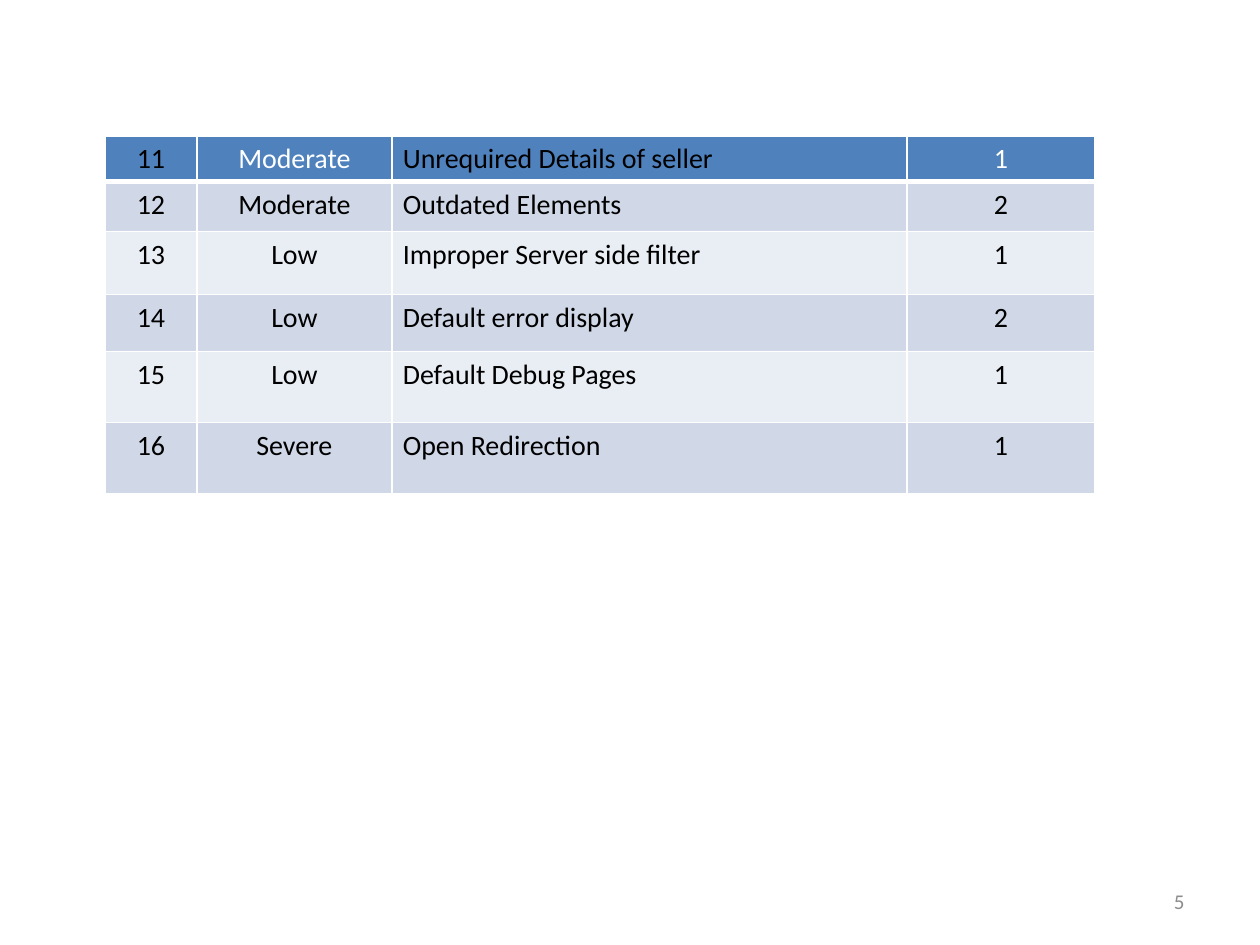
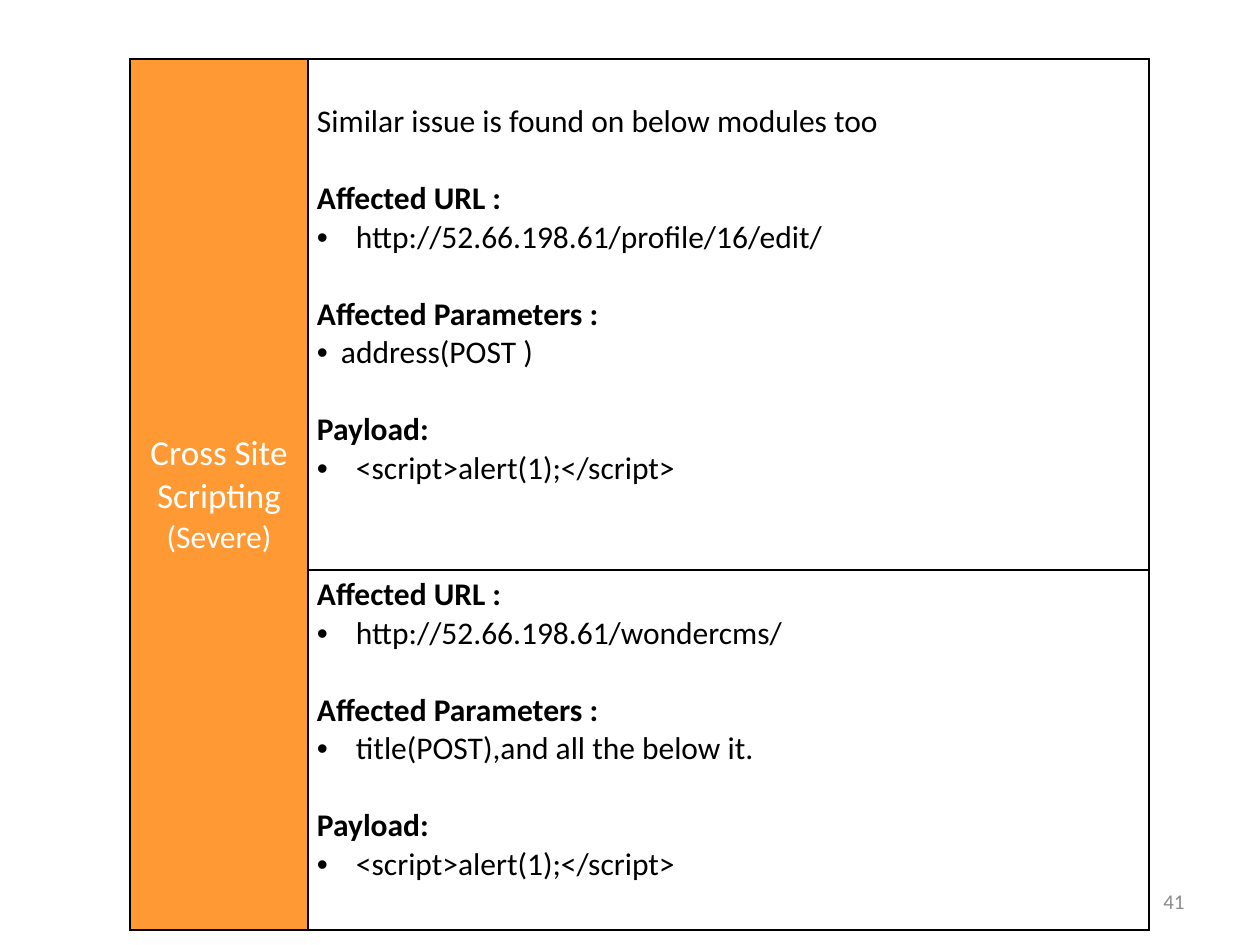
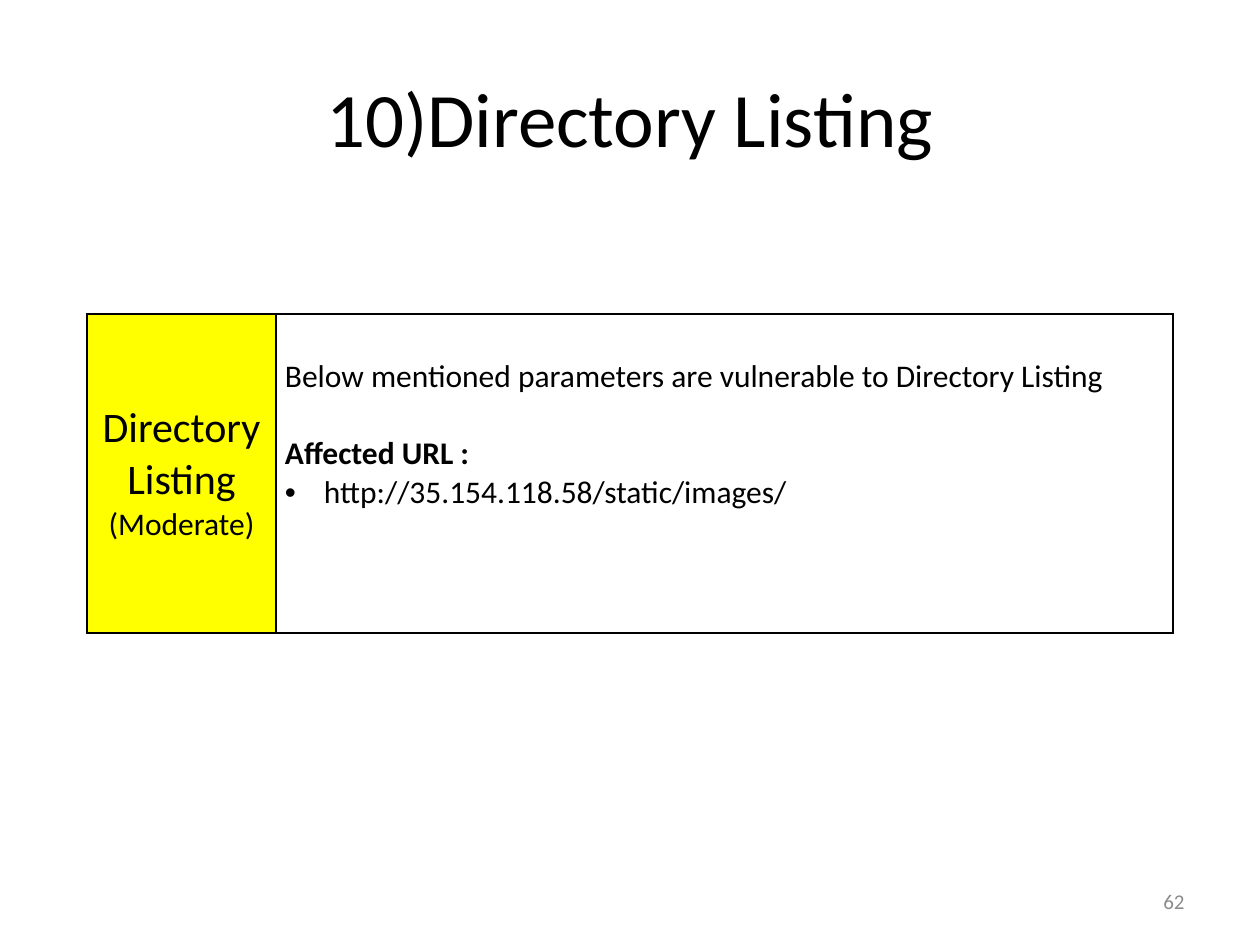
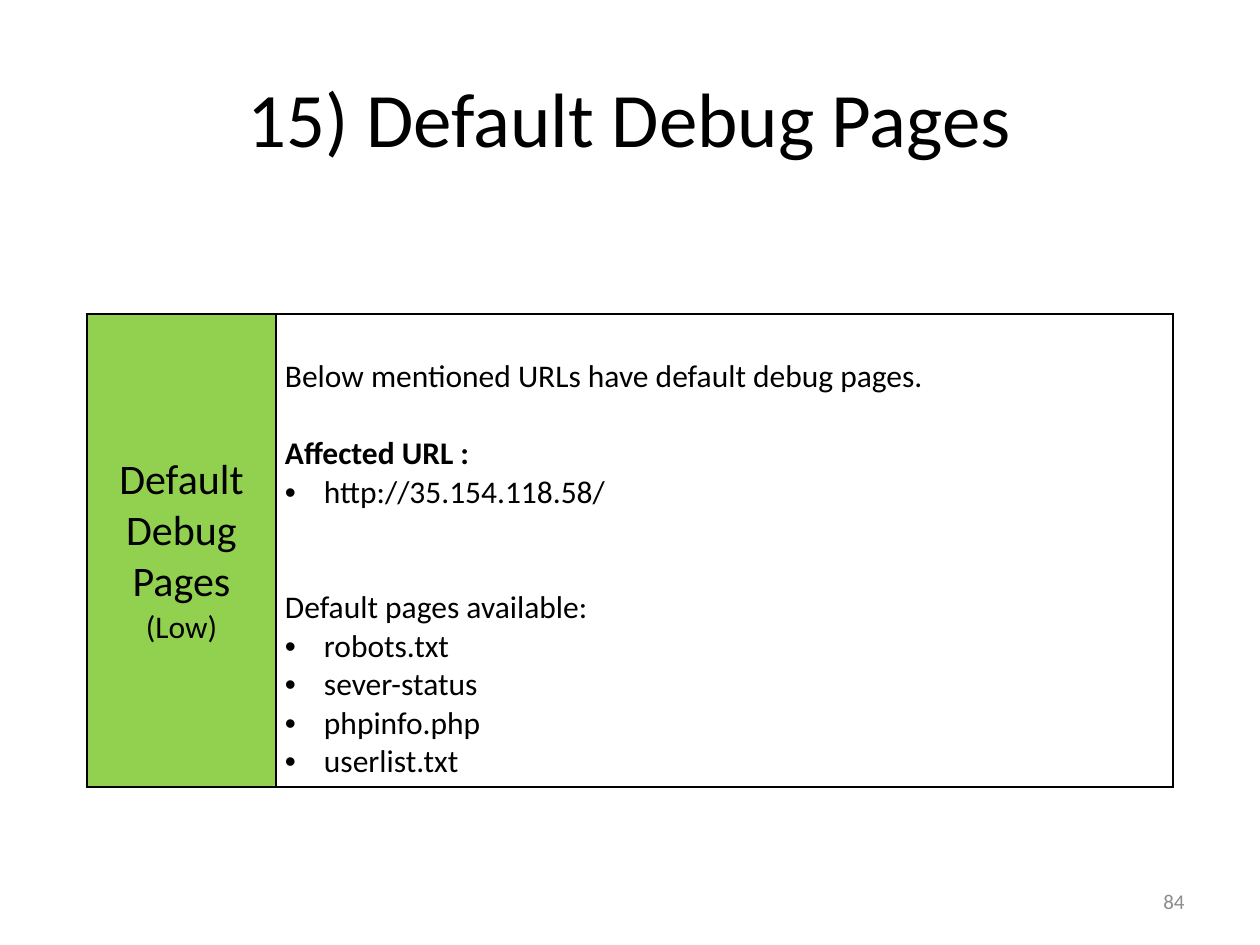
from pptx import Presentation
from pptx.dml.color import RGBColor
from pptx.enum.text import MSO_ANCHOR as Anchor, PP_ALIGN as Align
from pptx.oxml.ns import qn
from pptx.util import Emu, Pt
from lxml.etree import SubElement

FONT = "Calibri"
COLORS = {
    "black": "000000", "white": "FFFFFF", "number": "8C8C8C",
    "header": "4F81BD", "band dark": "D0D8E8", "band light": "E9EDF4",
    "severe": "FF9933", "moderate": "FFFF00", "low": "92D050",
}
NO_GRID_STYLE = "{2D5ABB26-0587-4C30-8999-92F81FD0307C}"
SLIDE_SIZE = (1260, 945)
TITLE_BOX = (63, 38, 1134, 157)
NUMBER_BOX = (903, 876, 294, 50)
BODY_SIZE = 18
LINE_POINTS = 22
LINE_PX = 38
INDENT = 39

SUMMARY = {
    "number": "5",
    "at": (105, 136),
    "columns": (92, 195, 515, 188),
    "rows": (45, 50, 63, 57, 71, 71),
    "header colors": ("black", "white", "black", "white"),
    "cells": [
        ("11", "Moderate", "Unrequired Details of seller", "1"),
        ("12", "Moderate", "Outdated Elements", "2"),
        ("13", "Low", "Improper Server side filter", "1"),
        ("14", "Low", "Default error display", "2"),
        ("15", "Low", "Default Debug Pages", "1"),
        ("16", "Severe", "Open Redirection", "1"),
    ],
}


def plain(text, lines_before=0):
    return {"text": text, "lines_before": lines_before}


def heading(text, lines_before=1):
    return {"text": text, "bold": True, "lines_before": lines_before}


def bullet(text, indent=INDENT):
    return {"text": text, "indent": indent}


# Each finding has a label cell and one block of paragraphs per row;
# "lead" is the number of empty lines above the first block.
FINDINGS = [
    {
        "number": "41", "title": None,
        "label": "Cross Site Scripting", "severity": "(Severe)",
        "fill": "severe", "label color": "white", "label size": 20,
        "at": (130, 5), "columns": (178, 841), "rows": (54, 511, 360),
        "blocks": [
            [plain("Similar issue is found on below modules too"),
             heading("Affected URL :"),
             bullet("http://52.66.198.61/profile/16/edit/"),
             heading("Affected Parameters :"),
             bullet("address(POST )", indent=24),
             heading("Payload:"),
             bullet("<script>alert(1);</script>")],
            [heading("Affected URL :", lines_before=0),
             bullet("http://52.66.198.61/wondercms/"),
             heading("Affected Parameters :"),
             bullet("title(POST),and all the below it."),
             heading("Payload:"),
             bullet("<script>alert(1);</script>")],
        ],
    },
    {
        "number": "62", "title": "10)Directory Listing",
        "label": "Directory Listing", "severity": "(Moderate)",
        "fill": "moderate", "label color": "black", "label size": 24,
        "at": (87, 252), "columns": (189, 897), "rows": (62, 319),
        "blocks": [
            [plain("Below mentioned parameters are vulnerable to Directory Listing"),
             heading("Affected URL :"),
             bullet("http://35.154.118.58/static/images/")],
        ],
    },
    {
        "number": "84", "title": "15) Default Debug Pages",
        "label": "Default Debug Pages", "severity": "(Low)",
        "fill": "low", "label color": "black", "label size": 24,
        "at": (87, 252), "columns": (189, 897), "rows": (62, 473),
        "blocks": [
            [plain("Below mentioned URLs have default debug pages."),
             heading("Affected URL :"),
             bullet("http://35.154.118.58/"),
             plain("Default pages available:", lines_before=2),
             bullet("robots.txt"),
             bullet("sever-status"),
             bullet("phpinfo.php"),
             bullet("userlist.txt")],
        ],
    },
]


def px(length):
    return Emu(round(length * 914400 / 126))


def rgb(name):
    return RGBColor.from_string(COLORS[name])


def write(para, text, size=BODY_SIZE, color="black", bold=False, align=None,
          indent=0, lines_before=0):
    """Add one formatted span; an indent makes the paragraph a bullet."""
    if indent:
        props = para._p.get_or_add_pPr()
        props.set("marL", str(px(indent)))
        props.set("indent", str(-px(indent)))
        SubElement(props, qn("a:buFont"), typeface="Arial")
        SubElement(props, qn("a:buChar"), char="•")
    if lines_before:
        para.space_before = Pt(LINE_POINTS * lines_before)
    if align is not None:
        para.alignment = align
    span = para.add_run()
    span.text = text
    font = span.font
    font.name, font.size, font.bold = FONT, Pt(size), bold
    font.color.rgb = rgb(color)


def write_block(frame, lines):
    for index, line in enumerate(lines):
        para = frame.add_paragraph() if index else frame.paragraphs[0]
        write(para, **line)


def add_page(deck, number, title=None):
    page = deck.slides.add_slide(deck.slide_layouts[5 if title else 6])
    if title:
        box = page.shapes.title
        box.left, box.top, box.width, box.height = map(px, TITLE_BOX)
        box.text_frame.vertical_anchor = Anchor.MIDDLE
        write(box.text_frame.paragraphs[0], title, size=44, align=Align.CENTER)
    frame = page.shapes.add_textbox(*map(px, NUMBER_BOX)).text_frame
    frame.word_wrap = True
    frame.vertical_anchor = Anchor.MIDDLE
    write(frame.paragraphs[0], number, size=12, color="number", align=Align.RIGHT)
    return page


def add_grid(page, at, columns, rows):
    """Add a table without any style of its own."""
    frame = page.shapes.add_table(len(rows), len(columns), *map(px, at),
                                  px(sum(columns)), px(sum(rows)))
    table = frame.table
    table.first_row = table.horz_banding = False
    table._tbl.tblPr.find(qn("a:tableStyleId")).text = NO_GRID_STYLE
    for column, width in zip(table.columns, columns):
        column.width = px(width)
    for row, height in zip(table.rows, rows):
        row.height = px(height)
    return table


def style_cell(cell, fill, border, side_margin, **edges):
    """Set borders (1 pt unless an edge L, R, T or B says otherwise), then fill."""
    props = cell._tc.get_or_add_tcPr()
    for edge in "LRTB":
        line = SubElement(props, qn("a:ln" + edge), w=str(Pt(edges.get(edge, 1))))
        paint = SubElement(line, qn("a:solidFill"))
        SubElement(paint, qn("a:srgbClr"), val=COLORS[border])
    cell.fill.solid()
    cell.fill.fore_color.rgb = rgb(fill)
    cell.margin_left = cell.margin_right = px(side_margin)
    cell.margin_top = cell.margin_bottom = px(6)


def build_summary(deck, summary):
    page = add_page(deck, summary["number"])
    table = add_grid(page, summary["at"], summary["columns"], summary["rows"])
    for row, texts in enumerate(summary["cells"]):
        is_header = row == 0
        fill = "header" if is_header else ("band light", "band dark")[row % 2]
        for column, text in enumerate(texts):
            cell = table.cell(row, column)
            style_cell(cell, fill, "white", 11, B=3 if is_header else 1)
            write(cell.text_frame.paragraphs[0], text, size=16,
                  color=summary["header colors"][column] if is_header else "black",
                  align=Align.LEFT if column == 2 else Align.CENTER)


def build_finding(deck, finding):
    page = add_page(deck, finding["number"], finding["title"])
    table = add_grid(page, finding["at"], finding["columns"], finding["rows"])
    for row, block in enumerate(finding["blocks"], start=1):
        style_cell(table.cell(row, 0), finding["fill"], "black", 9)
        cell = table.cell(row, 1)
        style_cell(cell, "white", "black", 9)
        if row == 1:
            cell.margin_top = px(6 + LINE_PX)
        write_block(cell.text_frame, block)
    label = table.cell(1, 0)
    if len(finding["blocks"]) > 1:
        label.merge(table.cell(len(finding["blocks"]), 0))
    label.vertical_anchor = Anchor.MIDDLE
    para = label.text_frame.paragraphs[0]
    color = finding["label color"]
    write(para, finding["label"], size=finding["label size"], color=color,
          align=Align.CENTER)
    para.add_line_break()
    write(para, finding["severity"], color=color)


def main():
    deck = Presentation()
    deck.slide_width, deck.slide_height = map(px, SLIDE_SIZE)
    build_summary(deck, SUMMARY)
    for finding in FINDINGS:
        build_finding(deck, finding)
    deck.save("out.pptx")


if __name__ == "__main__":
    main()
